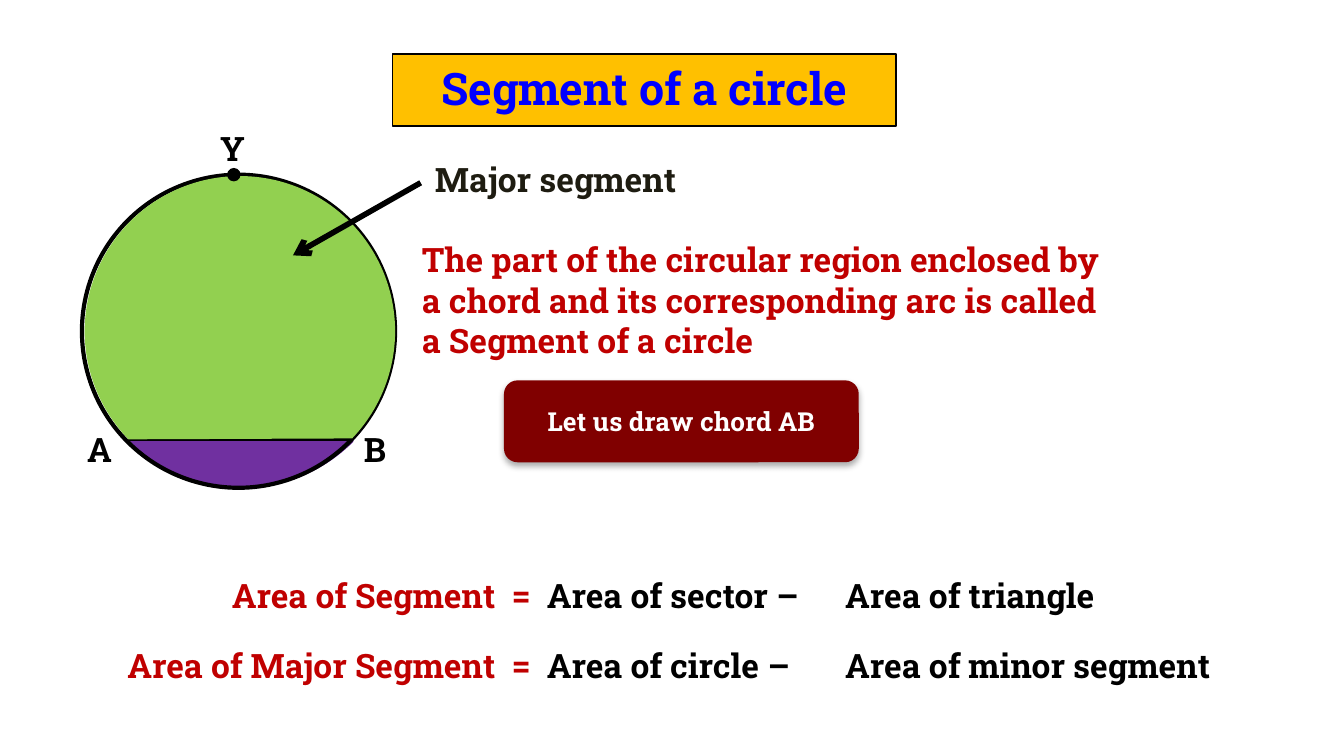
from lxml import etree
from pptx import Presentation, util as u
from pptx.dml.color import RGBColor
from pptx.enum import shapes as sh, text as tx
from pptx.oxml import parse_xml
from pptx.oxml.ns import qn

PX = 9144  # 100 px to the inch
FONT = "Roboto Slab"
BLACK = RGBColor(0, 0, 0)
WHITE = RGBColor(255, 255, 255)
GOLD = RGBColor(0xFF, 0xC0, 0x00)
BLUE = RGBColor(0, 0, 255)
GREEN = RGBColor(0x92, 0xD0, 0x50)
PURPLE = RGBColor(0x70, 0x30, 0xA0)
RED = RGBColor(0xC0, 0, 0)
MAROON = RGBColor(0x80, 0, 0)
DARK = RGBColor(0x1E, 0x1C, 0x11)
KIND = sh.MSO_SHAPE
ALIGN = tx.PP_ALIGN
NS = 'xmlns:a="http://schemas.openxmlformats.org/drawingml/2006/main"'


def emu(*px):
    return [u.Emu(v * PX) for v in px]


def shape(page, kind, box, fill=None, line=None, width=1, adj=()):
    item = page.shapes.add_shape(kind, *emu(*box))
    item.shadow.inherit = False
    if fill is None:
        item.fill.background()
    else:
        item.fill.solid()
        item.fill.fore_color.rgb = fill
    if line is None:
        item.line.fill.background()
    else:
        item.line.color.rgb = line
        item.line.width = u.Pt(width)
    for i, val in enumerate(adj):
        item.adjustments[i] = val
    return item


def style(par, color, size=18, align=ALIGN.LEFT):
    par.alignment = align
    for run in par.runs:
        font = run.font
        font.name, font.size, font.bold = FONT, u.Pt(size), True
        font.color.rgb = color


def label(page, box, words, color, align=ALIGN.LEFT, wrap=True, pad=5):
    item = page.shapes.add_textbox(*emu(*box))
    frame = item.text_frame
    frame.word_wrap = wrap
    frame.margin_top = frame.margin_bottom = emu(pad)[0]
    frame.text = words
    for par in frame.paragraphs:
        style(par, color, align=align)
    return frame


def line(page, start, end, width, arrow=False):
    item = page.shapes.add_connector(
        sh.MSO_CONNECTOR.STRAIGHT, *emu(*start, *end))
    item.line.color.rgb = BLACK
    item.line.width = u.Pt(width)
    if arrow:
        props = item._element.spPr.find(qn("a:ln"))
        etree.SubElement(props, qn("a:tailEnd"), type="arrow")
    etree.SubElement(item._element.spPr, qn("a:effectLst"))


def panel(page, kind, box, words, color, size, fill, edge=None):
    item = shape(page, kind, box, fill, edge)
    item.text_frame.text = words
    item.text_frame.vertical_anchor = tx.MSO_ANCHOR.MIDDLE
    style(item.text_frame.paragraphs[0], color, size, ALIGN.CENTER)
    return item


def title(page, box, words):
    item = panel(page, KIND.RECTANGLE, box, words, BLUE, 24, GOLD, BLACK)
    item.text_frame.margin_bottom = emu(9)[0]


def button(page, box, words):
    item = panel(page, KIND.ROUNDED_RECTANGLE, box, words, WHITE, 14, MAROON)
    props = item._element.spPr
    props.remove(props.find(qn("a:effectLst")))
    props.append(parse_xml(
        f'<a:effectLst {NS}><a:outerShdw blurRad="44450" dist="27940" '
        'dir="5400000" algn="ctr" rotWithShape="0"><a:srgbClr val="000000">'
        '<a:alpha val="32000"/></a:srgbClr></a:outerShdw></a:effectLst>'))


def circle(page, x, y, size):
    # Minor segment, chord and rim
    shape(page, KIND.CHORD, (x + 2, y - 1, size, size),
          PURPLE, PURPLE, 2, (27, 80.97))
    line(page, (x + 34, y + 197), (x + 202, y + 197), 2)
    shape(page, KIND.OVAL, (x, y, size, size), None, BLACK, 2.25)
    # Major segment and its pointer
    shape(page, KIND.CHORD, (x + 2, y + 1, size - 2, size - 2),
          GREEN, adj=(81.52, 26.21))
    line(page, (x + 252, y + 6), (x + 157, y + 60), 3, True)
    # Points
    for name, dx, dy in (("A", -6, 184), ("B", 200, 184), ("Y", 93, -40)):
        label(page, (x + dx, y + dy, 38, 40), name, BLACK, wrap=False)
    shape(page, KIND.OVAL, (x + 108, y - 5, 10, 10), BLACK)


def formula(page, x, y, name, first, second):
    frame = label(page, (x, y, 375, 30), f"\t{name}\t=", RED, pad=0)
    props = frame.paragraphs[0]._p.get_or_add_pPr()
    tabs = etree.SubElement(props, qn("a:tabLst"))
    for pos, side in ((329, "r"), (341, "l")):
        etree.SubElement(tabs, qn("a:tab"), pos=str(pos * PX), algn=side)
    label(page, (x + 367, y, 230, 30), first, BLACK, pad=0)
    label(page, (x + 589, y, 333, 30), second, BLACK, pad=0)


def main():
    deck = Presentation()
    deck.slide_width = emu(1000)[0]
    deck.slide_height = deck.slide_width * 9 // 16
    page = deck.slides.add_slide(deck.slide_layouts[6])
    # Title and figure
    title(page, (292, 40, 375, 54), "Segment of a circle")
    circle(page, 61, 130, 233)
    # Explanation
    label(page, (282, 113, 263, 40), "Major segment", DARK, ALIGN.CENTER)
    label(page, (304, 173, 583, 101),
          "The part of the circular region enclosed by\n"
          "a chord and its corresponding arc is called\n"
          "a Segment of a circle", RED)
    button(page, (375, 283, 264, 61), "Let us draw chord AB")
    # Formulas
    rows = (("Area of Segment", "Area of sector –", "Area of triangle"),
            ("Area of Major Segment", "Area of circle –",
             "Area of minor segment"))
    for i, row in enumerate(rows):
        formula(page, 30, 428 + 52 * i, *row)
    deck.save("out.pptx")


if __name__ == "__main__":
    main()
